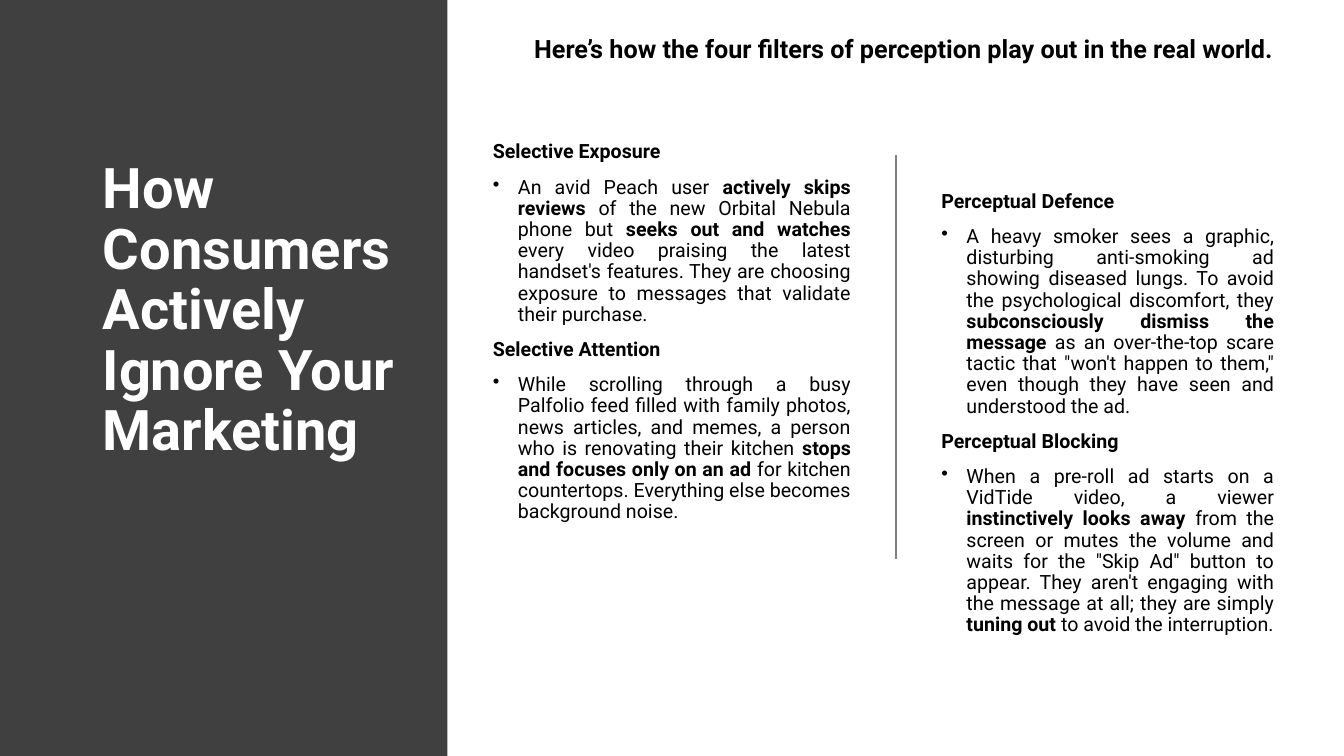
import dataclasses

import lxml.etree
import pptx
import pptx.dml.color
import pptx.enum.shapes
import pptx.enum.text
import pptx.oxml.ns
import pptx.util

Pt = pptx.util.Pt
FONT = "Roboto"
INDENT = 18
COLUMN_HEIGHT = 343.4


@dataclasses.dataclass(frozen=True)
class Filter:
    name: str
    example: str


@dataclasses.dataclass(frozen=True)
class Column:
    left: float
    top: float
    width: float
    filters: tuple[Filter, ...]


COLUMNS = (
    Column(344.9, 97.9, 270, (
        Filter(
            "Selective Exposure",
            "An avid Peach user **actively skips reviews** of the new Orbital Nebula phone but "
            "**seeks out and watches** every video praising the latest handset's features. They are "
            "choosing exposure to messages that validate their purchase.",
        ),
        Filter(
            "Selective Attention",
            "While scrolling through a busy Palfolio feed filled with family photos, news articles, "
            "and memes, a person who is renovating their kitchen **stops and focuses only on an ad** "
            "for kitchen countertops. Everything else becomes background noise.",
        ),
    )),
    Column(665.3, 133.2, 252, (
        Filter(
            "Perceptual Defence",
            "A heavy smoker sees a graphic, disturbing anti-smoking ad showing diseased lungs. To "
            "avoid the psychological discomfort, they **subconsciously dismiss the message** as an "
            "over-the-top scare tactic that \"won't happen to them,\" even though they have seen and "
            "understood the ad.",
        ),
        Filter(
            "Perceptual Blocking",
            "When a pre-roll ad starts on a VidTide video, a viewer **instinctively looks away** from "
            "the screen or mutes the volume and waits for the \"Skip Ad\" button to appear. They "
            "aren't engaging with the message at all; they are simply **tuning out** to avoid the "
            "interruption.",
        ),
    )),
)


def color(value: str) -> pptx.dml.color.RGBColor:
    return pptx.dml.color.RGBColor.from_string(value)


def add_bullet(para) -> None:
    properties = para._p.get_or_add_pPr()
    properties.set("marL", str(Pt(INDENT)))
    properties.set("indent", str(-Pt(INDENT)))
    bullet = lxml.etree.SubElement(properties, pptx.oxml.ns.qn("a:buChar"))
    bullet.set("char", "•")


def write(para, text: str, *, size: float, fill: str = "000000", bold: bool = False,
          justify: bool = True, spacing: float = 1.0, before: float = 0,
          bullet: bool = False) -> None:
    if bullet:
        add_bullet(para)
    alignment = pptx.enum.text.PP_ALIGN
    para.alignment = alignment.JUSTIFY if justify else alignment.LEFT
    para.line_spacing = spacing
    para.space_before = Pt(before)
    for index, part in enumerate(text.split("**")):
        span = para.add_run()
        span.text = part
        span.font.name = FONT
        span.font.size = Pt(size)
        span.font.bold = bold or index % 2 == 1
        span.font.color.rgb = color(fill)


def add_text_box(page, left: float, top: float, width: float, height: float):
    box = page.shapes.add_textbox(Pt(left), Pt(top), Pt(width), Pt(height))
    box.text_frame.word_wrap = True
    return box.text_frame


def add_column(page, column: Column) -> None:
    frame = add_text_box(page, column.left, column.top, column.width, COLUMN_HEIGHT)
    for index, item in enumerate(column.filters):
        heading = frame.add_paragraph() if index else frame.paragraphs[0]
        write(heading, item.name, size=14, bold=True, spacing=0.9, before=10 if index else 0)
        write(frame.add_paragraph(), item.example, size=14, spacing=0.9, before=10, bullet=True)


def add_title(page, text: str) -> None:
    title = page.shapes.title
    title.left, title.top, title.width, title.height = Pt(66.2), Pt(110.9), Pt(228.2), Pt(343.4)
    frame = title.text_frame
    frame.word_wrap = True
    frame.auto_size = pptx.enum.text.MSO_AUTO_SIZE.NONE
    frame.vertical_anchor = pptx.enum.text.MSO_ANCHOR.TOP
    write(frame.paragraphs[0], text, size=40, fill="FFFFFF", bold=True, justify=False, spacing=0.9)


def add_side_panel(page, height: int) -> None:
    panel = page.shapes.add_shape(
        pptx.enum.shapes.MSO_SHAPE.RECTANGLE, Pt(0), Pt(0), Pt(319.7), height)
    panel.shadow.inherit = False
    panel.fill.solid()
    panel.fill.fore_color.rgb = color("404040")
    panel.line.fill.background()
    page.shapes.title.element.addprevious(panel.element)


def add_divider(page) -> None:
    divider = page.shapes.add_connector(
        pptx.enum.shapes.MSO_CONNECTOR.STRAIGHT, Pt(640), Pt(111), Pt(640), Pt(399))
    divider.line.color.rgb = color("808080")
    divider.line.width = Pt(1)
    lxml.etree.SubElement(divider.element.spPr, pptx.oxml.ns.qn("a:effectLst"))


def main() -> None:
    deck = pptx.Presentation()
    deck.slide_width, deck.slide_height = Pt(960), Pt(540)
    page = deck.slides.add_slide(deck.slide_layouts[5])
    add_side_panel(page, deck.slide_height)
    add_title(page, "How Consumers Actively Ignore Your Marketing")
    for column in COLUMNS:
        add_column(page, column)
    add_divider(page)
    intro = add_text_box(page, 374.4, 20.2, 565.2, 28.8)
    write(intro.paragraphs[0],
          "Here’s how the four filters of perception play out in the real world.",
          size=18, bold=True)
    deck.save("out.pptx")


if __name__ == "__main__":
    main()
